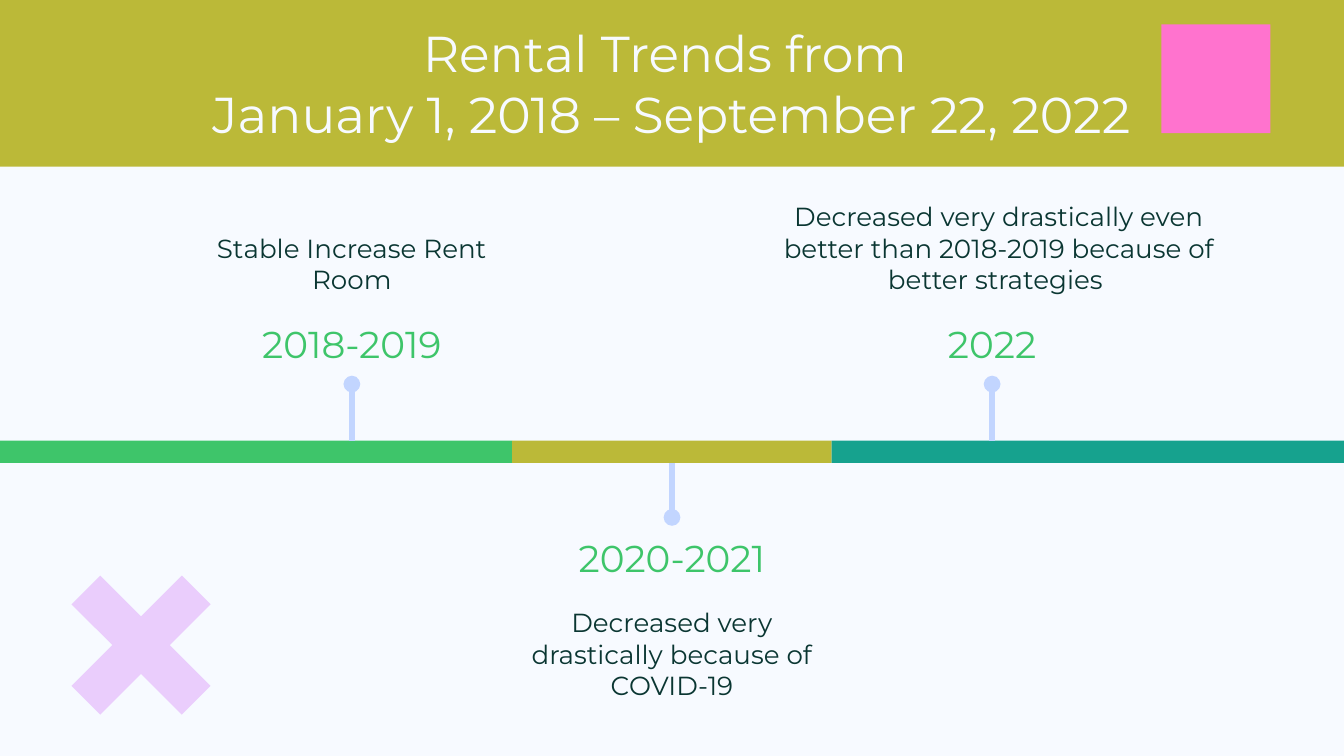
from dataclasses import dataclass

from lxml import etree
from pptx import Presentation
from pptx.dml.color import RGBColor
from pptx.enum.shapes import MSO_CONNECTOR, MSO_SHAPE
from pptx.enum.text import MSO_ANCHOR, PP_ALIGN
from pptx.oxml.ns import qn
from pptx.util import Cm, Pt

RECT = MSO_SHAPE.RECTANGLE
CROSS = MSO_SHAPE.CROSS
LINE = MSO_CONNECTOR.STRAIGHT
CENTER = PP_ALIGN.CENTER
TOP, MIDDLE, BOTTOM = MSO_ANCHOR.TOP, MSO_ANCHOR.MIDDLE, MSO_ANCHOR.BOTTOM


@dataclass(frozen=True)
class Theme:
    font: str = "Montserrat"
    olive: str = "BBB938"
    pale: str = "F7FAFF"
    pink: str = "FF73CE"
    green: str = "3EC56A"
    teal: str = "16A28E"
    blue: str = "C2D5FF"
    dark: str = "0A3632"
    lilac: str = "EACDFC"
    title: int = 27
    year: int = 20
    note: int = 14
    stem: int = 3


THEME = Theme()
WIDE, HIGH = 25.4, 14.29
BAND = 3.15
BAR_TOP, BAR_HIGH = 8.33, 0.42
BAR_END = BAR_TOP + BAR_HIGH
BARS = [(9.68, THEME.green), (6.04, THEME.olive), (9.68, THEME.teal)]
MID, STEP = WIDE / 2, 6.05
TEXT_WIDE, YEAR_HIGH, NOTE_HIGH = 6.6, 1.44, 1.6
HIGH_DOT, LOW_DOT = 7.26, 9.78


def add_block(slide, kind, x, y, w, h, color):
    block = slide.shapes.add_shape(kind, Cm(x), Cm(y), Cm(w), Cm(h))
    block.shadow.inherit = False
    block.fill.solid()
    block.fill.fore_color.rgb = RGBColor.from_string(color)
    block.line.fill.background()
    return block


def add_text(slide, text, mid, y, w, h, size, color, anchor):
    box = slide.shapes.add_textbox(Cm(mid - w / 2), Cm(y), Cm(w), Cm(h))
    frame = box.text_frame
    frame.word_wrap = True
    frame.vertical_anchor = anchor
    frame.margin_left = frame.margin_right = Cm(0.25)
    frame.margin_top = frame.margin_bottom = Cm(0.25)
    frame.text = text
    for para in frame.paragraphs:
        para.alignment = CENTER
        for run in para.runs:
            run.font.name = THEME.font
            run.font.size = Pt(size)
            run.font.color.rgb = RGBColor.from_string(color)


def add_stem(slide, x, start, end, dot):
    stem = slide.shapes.add_connector(LINE, Cm(x), Cm(start), Cm(x), Cm(end))
    stem.line.color.rgb = RGBColor.from_string(THEME.blue)
    stem.line.width = Pt(THEME.stem)
    props = stem.line._get_or_add_ln()
    etree.SubElement(props, qn(f"a:{dot}"), type="oval")
    etree.SubElement(stem._element.spPr, qn("a:effectLst"))
    return stem


def add_year(slide, text, mid, y, anchor):
    add_text(slide, text, mid, y, TEXT_WIDE, YEAR_HIGH,
             THEME.year, THEME.green, anchor)


def add_note(slide, text, mid, y, w, h, anchor):
    add_text(slide, text, mid, y, w, h, THEME.note, THEME.dark, anchor)


def add_upper(slide, year, note, x, mid, w, h):
    top = HIGH_DOT - YEAR_HIGH
    add_stem(slide, x, BAR_TOP, HIGH_DOT, "tailEnd")
    add_year(slide, year, x, top, TOP)
    add_note(slide, note, mid, top - h, w, h, BOTTOM)


def add_lower(slide, year, note, x, bar):
    add_year(slide, year, x, LOW_DOT, BOTTOM)
    add_note(slide, note, x, LOW_DOT + YEAR_HIGH, TEXT_WIDE, NOTE_HIGH, TOP)
    stem = add_stem(slide, x, LOW_DOT, BAR_END, "headEnd")
    stem.end_connect(bar, 2)


def add_bars(slide):
    bars, x = [], 0
    for w, color in BARS:
        bars.append(add_block(slide, RECT, x, BAR_TOP, w, BAR_HIGH, color))
        x += w
    return bars


def main():
    deck = Presentation()
    deck.slide_width, deck.slide_height = Cm(WIDE), Cm(HIGH)
    slide = deck.slides.add_slide(deck.slide_layouts[6])
    back = slide.background.fill
    back.solid()
    back.fore_color.rgb = RGBColor.from_string(THEME.olive)

    add_block(slide, RECT, 0, BAND, WIDE, HIGH - BAND, THEME.pale)
    add_block(slide, RECT, 21.95, 0.46, 2.06, 2.06, THEME.pink)
    bars = add_bars(slide)
    add_upper(slide, "2018-2019", "Stable Increase Rent Room",
              MID - STEP, MID - STEP, TEXT_WIDE, NOTE_HIGH)
    add_lower(slide, "2020-2021",
              "Decreased very drastically because of\nCOVID-19", MID, bars[1])
    add_upper(slide, "2022",
              "Decreased very drastically even better than 2018-2019 "
              "because of better strategies ",
              MID + STEP, 18.88, 9.68, 2.13)
    cross = add_block(slide, CROSS, 1.19, 10.72, 2.95, 2.95, THEME.lilac)
    cross.adjustments[0] = 0.37
    cross.rotation = 45
    add_text(slide, "Rental Trends from \vJanuary 1, 2018 – September 22, 2022",
             12.69, 0.91, 21.62, 1.32, THEME.title, THEME.pale, MIDDLE)
    deck.save("out.pptx")


if __name__ == "__main__":
    main()
